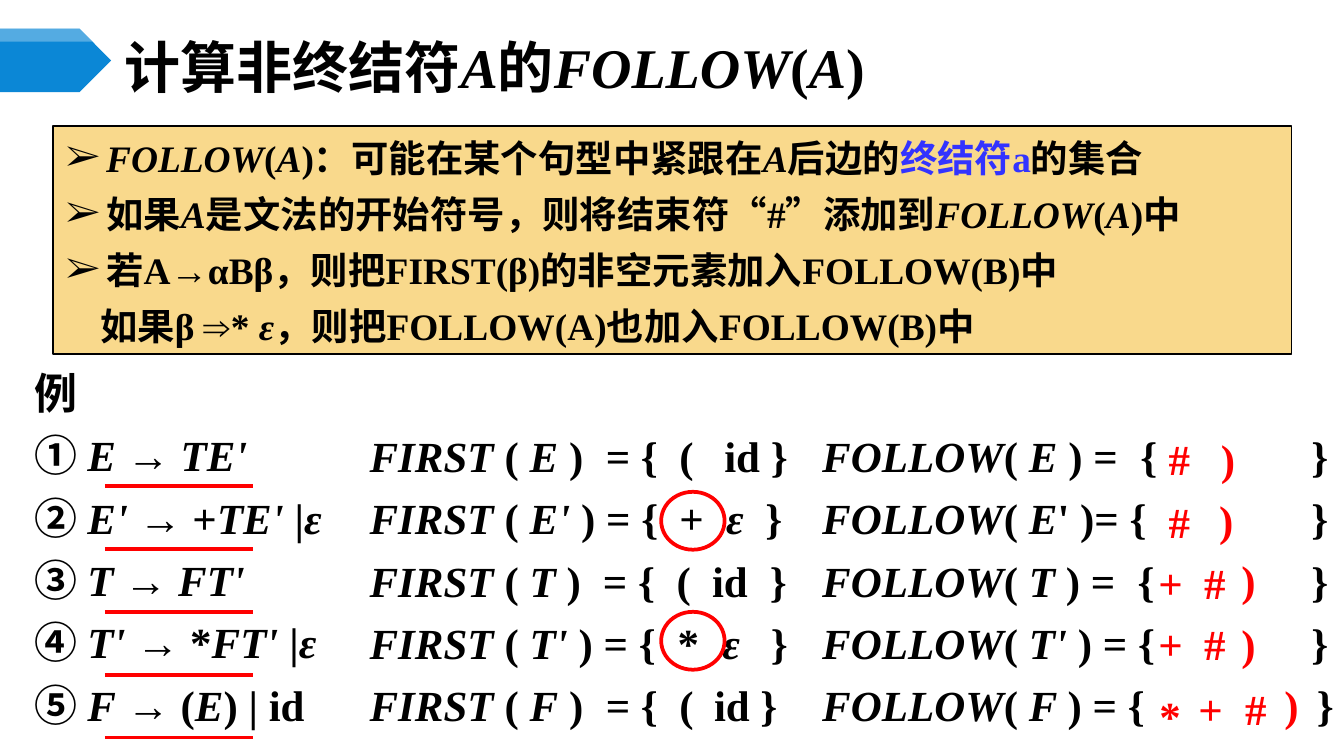
import pptx
import pptx.dml.color
import pptx.enum.shapes
import pptx.enum.text
import pptx.util
from dataclasses import dataclass
from lxml import etree
from pptx.oxml.ns import qn

Pt = pptx.util.Pt
COLORS = {"black": "000000", "red": "FF0000", "term": "3333FF",
          "panel": "F9D98C", "arrow": "0B87D6", "white": "FFFFFF"}
LATIN, CJK, ARROW_FONT = "Times New Roman", "Noto Sans CJK SC", "Arial"
ROW_PITCH = 33.66


@dataclass
class Span:
    text: str
    italic: bool = False
    color: str = "black"
    font: str = LATIN


@dataclass
class Line:
    spans: list[Span]
    tabs: tuple[float, ...] = ()
    bullet: str = ""
    indent: float = 0
    hanging: float = 0


@dataclass
class Mark:
    symbol: str
    left: float
    top: float


def plain(text: str) -> Span:
    return Span(text)


def var(text: str) -> Span:
    return Span(text, italic=True)


def rgb(name: str) -> pptx.dml.color.RGBColor:
    return pptx.dml.color.RGBColor.from_string(COLORS[name])


def write_lines(frame, lines: list[Line], size: float, before: float = 0,
                spacing: float | None = None) -> None:
    frame.word_wrap = True
    for index, line in enumerate(lines):
        paragraph = frame.paragraphs[0] if index == 0 else frame.add_paragraph()
        paragraph.alignment = pptx.enum.text.PP_ALIGN.LEFT
        if index:
            paragraph.space_before = Pt(before)
        if spacing:
            paragraph.line_spacing = Pt(spacing)
        props = paragraph._p.get_or_add_pPr()
        if line.indent:
            props.set("marL", str(Pt(line.indent)))
            props.set("indent", str(Pt(-line.hanging)))
        if line.bullet:
            etree.SubElement(props, qn("a:buFont"), typeface=LATIN)
            etree.SubElement(props, qn("a:buChar"), char=line.bullet)
        if line.tabs:
            stops = etree.SubElement(props, qn("a:tabLst"))
            for stop in line.tabs:
                etree.SubElement(stops, qn("a:tab"), pos=str(Pt(stop)), algn="l")
        for span in line.spans:
            run = paragraph.add_run()
            run.text = span.text
            run.font.size = Pt(size)
            run.font.bold = True
            run.font.italic = span.italic
            run.font.name = span.font
            run.font.color.rgb = rgb(span.color)
            etree.SubElement(run._r.get_or_add_rPr(), qn("a:ea"), typeface=CJK)


def add_text(slide, left: float, top: float, width: float, height: float,
             lines: list[Line], before: float = 0) -> None:
    box = slide.shapes.add_textbox(Pt(left), Pt(top), Pt(width), Pt(height))
    write_lines(box.text_frame, lines, 23, before)


def add_polygon(slide, points: list[tuple[float, float]], color: str):
    builder = slide.shapes.build_freeform(Pt(points[0][0]), Pt(points[0][1]))
    builder.add_line_segments([(Pt(x), Pt(y)) for x, y in points[1:]], close=True)
    polygon = builder.convert_to_shape()
    polygon.shadow.inherit = False
    polygon.fill.solid()
    polygon.fill.fore_color.rgb = rgb(color)
    polygon.line.fill.background()
    return polygon


def add_underline(slide, left: float, right: float, y: float) -> None:
    underline = slide.shapes.add_connector(
        pptx.enum.shapes.MSO_CONNECTOR.STRAIGHT, Pt(left), Pt(y), Pt(right), Pt(y))
    underline.line.color.rgb = rgb("red")
    underline.line.width = Pt(2)
    etree.SubElement(underline._element.spPr, qn("a:effectLst"))


def add_circle(slide, left: float, top: float) -> None:
    circle = slide.shapes.add_shape(
        pptx.enum.shapes.MSO_SHAPE.OVAL, Pt(left), Pt(top), Pt(34), Pt(31))
    circle.shadow.inherit = False
    circle.fill.background()
    circle.line.color.rgb = rgb("red")
    circle.line.width = Pt(2)


RULES = [
    Line([var("FOLLOW"), plain("("), var("A"), plain(")：可能在某个句型中紧跟在"),
          var("A"), plain("后边的"), Span("终结符a", color="term"), plain("的集合")],
         bullet="➢", indent=21.6, hanging=21.6),
    Line([plain("如果"), var("A"), plain("是文法的开始符号，则将结束符“#”添加到"),
          var("FOLLOW"), plain("("), var("A"), plain(")中")],
         bullet="➢", indent=21.6, hanging=21.6),
    Line([plain("若A→αBβ，则把FIRST(β)的非空元素加入FOLLOW(B)中")],
         bullet="➢", indent=21.6, hanging=21.6),
    Line([plain("如果β "), Span("⇒", font=ARROW_FONT), plain("*"), var(" ε"),
          plain("，则把FOLLOW(A)也加入FOLLOW(B)中")], indent=18.3),
]
PRODUCTIONS = [
    ("①", [var("E "), plain("→ "), var("TE'")]),
    ("②", [var("E'"), plain(" → +"), var("TE'"), plain(" |"), var("ε")]),
    ("③", [var("T"), plain(" → "), var("FT'")]),
    ("④", [var("T' "), plain("→ *"), var("FT' "), plain("|"), var("ε")]),
    ("⑤", [var("F"), plain(" → ("), var("E"), plain(") | id")]),
]
FIRST_SETS = [
    ("E", [plain(" )\t= {\t(\tid }")], (126.5, 166, 190)),
    ("E'", [plain(" ) = {\t+\t"), var("ε"), plain("\t}")], (166, 191, 212)),
    ("T", [plain(" )\t= {\t(\tid\t}")], (125, 164.5, 183.5, 214.5)),
    ("T'", [plain(" ) = {\t*\t"), var("ε"), plain("\t}")], (165, 189, 215)),
    ("F", [plain(" )\t= {\t(\tid }")], (126.5, 166, 184.5)),
]
FOLLOW_SETS = [
    ("E ", ") =\t{\t}", (170.5, 262)),
    ("E", "' )= {\t}", (262,)),
    ("T ", ") =\t{\t}", (169, 262)),
    ("T'", " ) = {\t}", (262,)),
    ("F ", ") = {\t}", (265,)),
]
MARKS = [
    Mark("#", 619, 228), Mark(")", 647, 228),
    Mark("#", 619, 262), Mark(")", 646, 261),
    Mark("+", 613.5, 294.5), Mark("#", 638, 294.5), Mark(")", 658, 293),
    Mark("+", 613.5, 327.5), Mark("#", 638, 327.5), Mark(")", 658, 327.5),
    Mark("*", 614, 366), Mark("+", 635, 362), Mark("#", 660, 362), Mark(")", 681, 360),
]


def main() -> None:
    deck = pptx.Presentation()
    deck.slide_width, deck.slide_height = Pt(720), Pt(405)
    slide = deck.slides.add_slide(deck.slide_layouts[5])

    add_polygon(slide, [(0, 15.3), (42.6, 15.3), (59.5, 32.4), (42.6, 49.4), (0, 49.4)], "arrow")
    sheen = add_polygon(slide, [(0, 15.3), (42.6, 15.3), (49.5, 22.3), (0, 22.3)], "white")
    tint = sheen._element.spPr.find(qn("a:solidFill"))[0]
    etree.SubElement(tint, qn("a:alpha"), val="30000")

    title = slide.shapes.title
    title.left, title.top, title.width, title.height = Pt(59.5), Pt(21.3), Pt(624), Pt(28)
    title.text_frame.vertical_anchor = pptx.enum.text.MSO_ANCHOR.MIDDLE
    write_lines(title.text_frame, [Line([
        Span("计算非终结符", font=CJK), var("A"), Span("的", font=CJK),
        var("FOLLOW"), plain("("), var("A"), plain(")")])], 30)

    panel = slide.shapes.add_shape(
        pptx.enum.shapes.MSO_SHAPE.RECTANGLE, Pt(28.2), Pt(67.7), Pt(663.7), Pt(122)) 
    panel.shadow.inherit = False
    panel.fill.solid()
    panel.fill.fore_color.rgb = rgb("panel")
    panel.line.color.rgb = rgb("black")
    panel.line.width = Pt(1)
    panel.text_frame.vertical_anchor = pptx.enum.text.MSO_ANCHOR.TOP
    write_lines(panel.text_frame, RULES, 20, before=5, spacing=25)

    productions = [Line([Span("例", font=CJK)])]
    productions += [Line([Span(number + " ", font=CJK), *rule]) for number, rule in PRODUCTIONS]
    add_text(slide, 11.5, 192.8, 266, 202, productions, before=5.8)
    for row in range(len(PRODUCTIONS)):
        add_underline(slide, 56.2, 135.4, 260.5 + row * ROW_PITCH)

    add_text(slide, 433.4, 226.6, 337, 168.5, [
        Line([var("FOLLOW"), plain("( "), var(symbol), plain(rest)], tabs)
        for symbol, rest, tabs in FOLLOW_SETS], before=5.8)
    for mark in MARKS:
        add_text(slide, mark.left, mark.top, 30, 35, [Line([Span(mark.symbol, color="red")])])
    add_text(slide, 190.9, 226.6, 281.5, 168.5, [
        Line([var("FIRST "), plain("( "), var(symbol), *rest], tabs)
        for symbol, rest, tabs in FIRST_SETS], before=5.8)
    for top in (263.5, 327.8):
        add_circle(slide, 354.2, top)

    deck.save("out.pptx")


if __name__ == "__main__":
    main()
